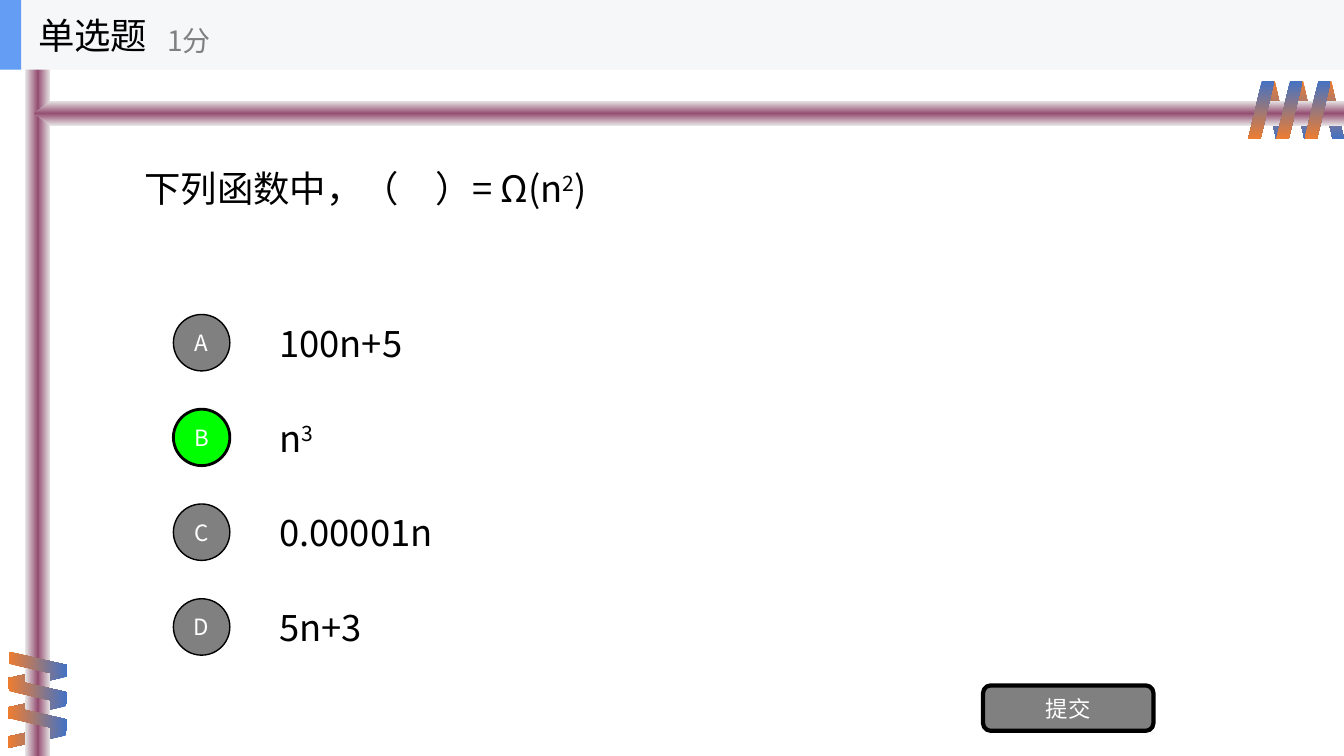
from collections import namedtuple
from dataclasses import dataclass

from lxml.etree import SubElement
from pptx import Presentation
from pptx.dml.color import RGBColor
from pptx.enum.shapes import MSO_SHAPE
from pptx.enum.text import MSO_ANCHOR, MSO_AUTO_SIZE, PP_ALIGN
from pptx.oxml.ns import qn
from pptx.util import Inches, Pt

Box = namedtuple("Box", "left top width height")


@dataclass(frozen=True)
class Theme:
    font: str = "Noto Sans CJK SC"
    text: str = "000000"
    inverse: str = "FFFFFF"
    muted: str = "808080"
    correct: str = "00FF00"
    band: str = "F6F7F8"
    accent: str = "639EF4"
    bar: tuple = ("E7E6E6", "954F72", "E7E6E6")
    warm: tuple = ("ED7D31", "4472C4")
    cool: tuple = ("4472C4", "ED7D31")
    body_size: int = 26
    score_size: int = 20
    label_size: int = 16


THEME = Theme()


def write(frame, spans, size=THEME.body_size, color=THEME.text,
          align=PP_ALIGN.LEFT, wrap=True):
    """Fill a text frame with (text, is_superscript) spans on one line."""
    frame_format = {"word_wrap": wrap, "auto_size": MSO_AUTO_SIZE.NONE,
                    "vertical_anchor": MSO_ANCHOR.MIDDLE}
    for name, value in frame_format.items():
        setattr(frame, name, value)
    para = frame.paragraphs[0]
    para.alignment = align
    for text, raised in spans:
        span = para.add_run()
        span.text = text
        for name, value in {"name": THEME.font, "size": Pt(size)}.items():
            setattr(span.font, name, value)
        span.font.color.rgb = RGBColor.from_string(color)
        properties = span._r.get_or_add_rPr()
        SubElement(properties, qn("a:ea"), typeface=THEME.font)
        if raised:
            properties.set("baseline", "30000")


def add_text(slide, box, spans, **text_format):
    text_box = slide.shapes.add_textbox(*map(Inches, box))
    write(text_box.text_frame, spans, **text_format)


def add_plain_shape(slide, kind, box):
    shape = slide.shapes.add_shape(kind, *map(Inches, box))
    shape.shadow.inherit = False
    shape.line.fill.background()
    return shape


def add_solid(slide, kind, box, fill, line_width=0):
    shape = add_plain_shape(slide, kind, box)
    shape.fill.solid()
    shape.fill.fore_color.rgb = RGBColor.from_string(fill)
    if line_width:
        shape.line.color.rgb = RGBColor.from_string(THEME.text)
        shape.line.width = Pt(line_width)
    return shape


def add_gradient(slide, kind, box, colors, angle, rotation=0, flip=False, adjust=None):
    """Add a shape whose gradient keeps its direction when the shape turns."""
    shape = add_plain_shape(slide, kind, box)
    shape.rotation = rotation
    if adjust is not None:
        shape.adjustments[0] = adjust
    properties = shape._element.spPr
    if flip:
        properties.find(qn("a:xfrm")).set("flipH", "1")
    shape.fill.gradient()
    shape.fill.gradient_angle = -angle % 360
    gradient = properties.find(qn("a:gradFill"))
    gradient.set("rotWithShape", "0")
    stops = gradient.find(qn("a:gsLst"))
    stops.clear()
    for index, color in enumerate(colors):
        position = 100000 * index // (len(colors) - 1)
        stop = SubElement(stops, qn("a:gs"), pos=str(position))
        SubElement(stop, qn("a:srgbClr"), val=color)


def add_coil(slide, box, step, **look):
    """Repeat a slanted strip three times, moving by step = (across, down)."""
    for turn in range(3):
        strip = box._replace(left=box.left + turn * step[0], top=box.top + turn * step[1])
        add_gradient(slide, MSO_SHAPE.PARALLELOGRAM, strip, adjust=0.53, **look)


def add_frame(slide, box):
    """Draw the two bars, with a coil wound round the end of each."""
    right, bottom = box.left + box.width, box.top + box.height
    add_coil(slide, Box(right - 0.8, 0.8, 0.24, 0.58), (0.28, 0),
             colors=THEME.warm, angle=90, rotation=180, flip=True)
    add_coil(slide, Box(0.25, bottom - 1.07, 0.24, 0.58), (0, 0.29),
             colors=THEME.cool, angle=0, rotation=90, flip=True)
    add_gradient(slide, MSO_SHAPE.RECTANGLE, Box(0.25, box.top, 0.25, box.height),
                 THEME.bar, 0)
    add_gradient(slide, MSO_SHAPE.PENTAGON, Box(0.34, 1, right - 0.34, 0.25),
                 THEME.bar, 90, flip=True, adjust=0.68)
    add_coil(slide, Box(0.25, bottom - 1.2, 0.25, 0.58), (0, 0.27),
             colors=THEME.warm, angle=0, rotation=270)
    add_coil(slide, Box(right - 0.95, 0.8, 0.26, 0.58), (0.28, 0),
             colors=THEME.cool, angle=90)


def add_question(slide, box, spans):
    title = slide.shapes.title
    for name, value in box._asdict().items():
        setattr(title, name, Inches(value))
    write(title.text_frame, spans)


def add_options(slide, box, options, correct):
    """Stack the lettered answers evenly, marking the correct letter."""
    pitch, text_height, badge = 0.94, 0.7, 0.56
    for row, (letter, spans) in enumerate(options.items()):
        top = box.top + row * pitch
        add_text(slide, Box(box.left + 0.95, top, box.width - 0.95, text_height), spans)
        fill, line_width = (THEME.correct, 2) if letter == correct else (THEME.muted, 1)
        circle = add_solid(
            slide, MSO_SHAPE.OVAL,
            Box(box.left, top + (text_height - badge) / 2, badge, badge), fill, line_width)
        write(circle.text_frame, [(letter, False)], THEME.label_size,
              THEME.inverse, PP_ALIGN.CENTER)


def add_submit(slide, box):
    button = add_solid(slide, MSO_SHAPE.ROUNDED_RECTANGLE, box, THEME.muted, 3)
    write(button.text_frame, [("提交", False)], THEME.label_size,
          THEME.inverse, PP_ALIGN.CENTER)


def add_header(slide, box):
    add_solid(slide, MSO_SHAPE.RECTANGLE, box, THEME.band)
    add_solid(slide, MSO_SHAPE.RECTANGLE, box._replace(width=0.21), THEME.accent)
    add_text(slide, Box(box.left + 0.28, box.top, 2.08, box.height),
             [("单选题", False)], wrap=False)
    add_text(slide, Box(box.left + 1.56, box.top + 0.12, 2.5, 0.56),
             [("1分", False)], size=THEME.score_size, color=THEME.muted, wrap=False)


def main():
    deck = Presentation()
    page = Box(0, 0, 13.33, 7.5)
    deck.slide_width, deck.slide_height = Inches(page.width), Inches(page.height)
    slide = deck.slides.add_slide(deck.slide_layouts[5])
    add_frame(slide, page)
    add_question(slide, Box(1.33, 0.69, 10.67, 2.34),
                 [("下列函数中，（　）= Ω(n", False), ("2", True), (")", False)])
    options = {
        "A": [("100n+5", False)],
        "B": [("n", False), ("3", True)],
        "C": [("0.00001n", False)],
        "D": [("5n+3", False)],
    }
    add_options(slide, Box(1.72, 3.05, 10.28, 3.51), options, correct="B")
    add_submit(slide, Box(9.75, 6.8, 1.69, 0.45))
    add_header(slide, page._replace(height=0.69))
    deck.save("out.pptx")


if __name__ == "__main__":
    main()
